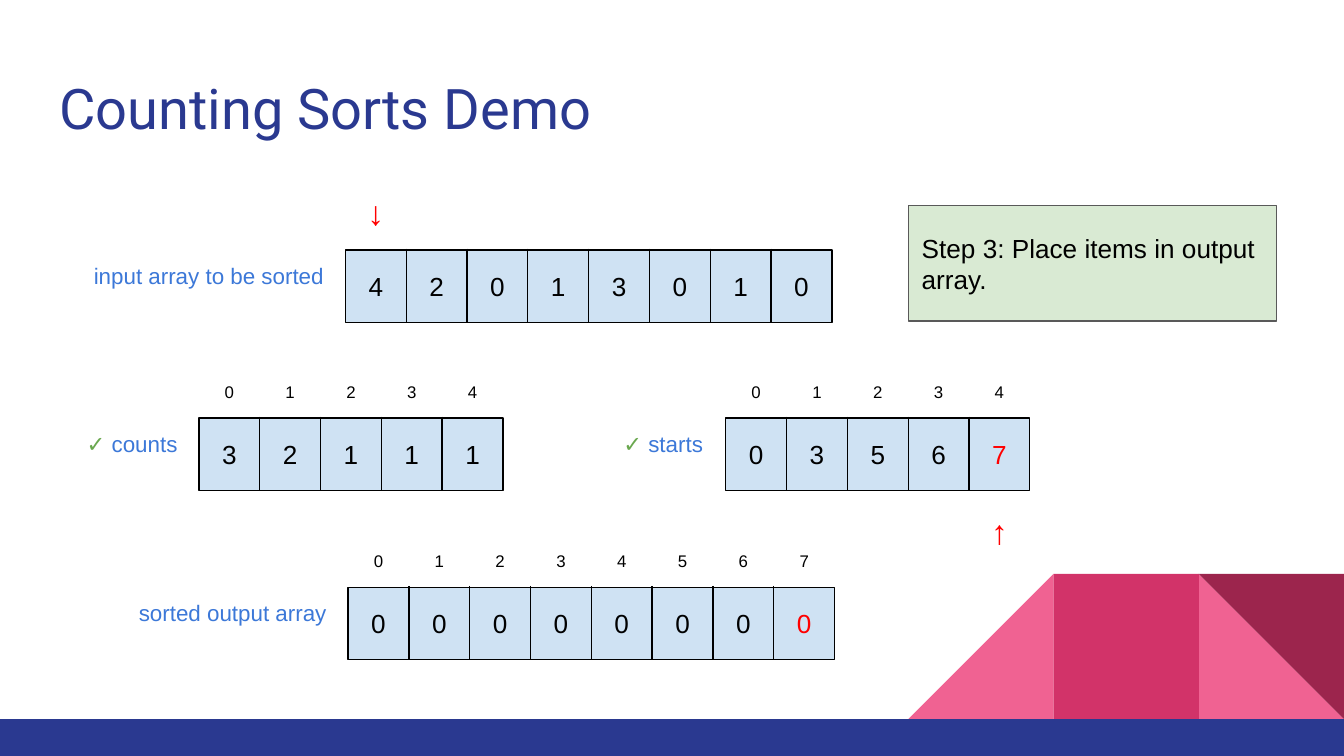
import lxml.etree
import pptx
import pptx.util
import pptx.dml.color
import pptx.enum.shapes
import pptx.enum.text
import pptx.oxml.ns

Inches = pptx.util.Inches
SHAPE = pptx.enum.shapes.MSO_SHAPE
ALIGN = pptx.enum.text.PP_ALIGN
ANCHOR = pptx.enum.text.MSO_ANCHOR

BAR = 1.81  # a bar spans four cells
PITCH = BAR / 4
CELL = 0.55
LABEL = 0.36
BLACK, RED, BLUE, GREEN = "000000", "FF0000", "3C78D8", "6AA84F"
NAVY, PINK, ROSE, WINE = "2A3990", "F06292", "D23369", "9C254D"


def color(code):
    return pptx.dml.color.RGBColor.from_string(code)


def write(shape, runs, size, align=ALIGN.LEFT, anchor=ANCHOR.TOP, font="Arial"):
    """Fill a shape with one paragraph of (text, colour) runs."""
    frame = shape.text_frame
    frame.word_wrap = True
    frame.auto_size = pptx.enum.text.MSO_AUTO_SIZE.NONE
    frame.vertical_anchor = anchor
    frame.margin_left = frame.margin_right = Inches(0.1)
    frame.margin_top = frame.margin_bottom = Inches(0.1)
    para = frame.paragraphs[0]
    para.alignment = align
    para.line_spacing = 1.0
    for text, code in runs:
        run = para.add_run()
        run.text = text
        run.font.name = font
        run.font.size = pptx.util.Pt(size)
        run.font.color.rgb = color(code)


def add_text(slide, box, runs, size, align=ALIGN.CENTER, anchor=ANCHOR.TOP):
    shape = slide.shapes.add_textbox(*map(Inches, box))
    write(shape, runs, size, align, anchor)


def stroke(line, code):
    line.color.rgb = color(code)
    line.width = pptx.util.Pt(0.75)


def add_block(slide, kind, box, fill, line=None):
    shape = slide.shapes.add_shape(kind, *map(Inches, box))
    shape.shadow.inherit = False
    shape.fill.solid()
    shape.fill.fore_color.rgb = color(fill)
    if line:
        stroke(shape.line, line)
    else:
        shape.line.fill.background()
    return shape


def add_rule(slide, x, top, height):
    """Upright divider between two cells."""
    rule = slide.shapes.add_connector(
        pptx.enum.shapes.MSO_CONNECTOR.STRAIGHT,
        *map(Inches, (x, top, x, top + height)))
    stroke(rule.line, BLACK)
    lxml.etree.SubElement(rule._element.spPr, pptx.oxml.ns.qn("a:effectLst"))


def add_decor(slide, left, top, side):
    """Footer bar with the folded ribbon standing on its right end."""
    right = (left + 2 * side, top, side, side)
    add_block(slide, SHAPE.RIGHT_TRIANGLE, right, PINK)
    fold = add_block(slide, SHAPE.RIGHT_TRIANGLE, (left, top, side, side), PINK)
    fold._element.spPr.get_or_add_xfrm().set("flipH", "1")
    add_block(slide, SHAPE.RECTANGLE, (left + side, top, side, side), ROSE)
    back = add_block(slide, SHAPE.RIGHT_TRIANGLE, right, WINE)
    back.rotation = 180
    add_block(slide, SHAPE.RECTANGLE, (0, top + side, 10, 0.28), NAVY)


def add_title(slide, box, text):
    title = slide.shapes.title
    title.left, title.top, title.width, title.height = map(Inches, box)
    write(title, [(text, NAVY)], 30, font="Roboto")


def add_array(slide, left, top, values, marked=None, index=True):
    """Row of cells with index numbers above."""
    count = len(values)
    # Two bars, flush with either end, cover the row
    for start in (0, count - 4):
        add_block(slide, SHAPE.RECTANGLE,
                  (left + start * PITCH, top + 0.01, BAR, CELL - 0.01),
                  "CFE2F3", BLACK)
    for i in range(1, count):
        add_rule(slide, left + i * PITCH, top, CELL)
    for i, value in enumerate(values):
        x = left + i * PITCH
        code = RED if i == marked else BLACK
        add_text(slide, (x, top, PITCH, CELL), [(value, code)], 14,
                 anchor=ANCHOR.MIDDLE)
        if index:
            add_text(slide, (x, top - LABEL, PITCH, LABEL), [(str(i), BLACK)], 9)


def add_name(slide, left, top, width, runs):
    add_text(slide, (left, top, width, CELL), runs, 12, ALIGN.RIGHT)


def add_step(slide, box, text):
    note = add_block(slide, SHAPE.RECTANGLE, box, "D9EAD3", "595959")
    write(note, [(text, BLACK)], 14, anchor=ANCHOR.MIDDLE)


def add_mark(slide, left, top, sign, anchor):
    add_text(slide, (left, top, PITCH, CELL), [(sign, RED)], 18, anchor=anchor)


def main():
    deck = pptx.Presentation()
    deck.slide_width = Inches(10)
    deck.slide_height = Inches(10 * 9 / 16)
    slide = deck.slides.add_slide(deck.slide_layouts[5])

    # Frame of the slide
    add_decor(slide, 6.76, 4.27, 1.08)
    add_title(slide, (0.34, 0.45, 9.32, 0.66), "Counting Sorts Demo")

    # Arrays
    add_array(slide, 2.57, 1.85, "42013010", index=False)
    add_array(slide, 1.48, 3.1, "32111")
    add_array(slide, 5.4, 3.1, "03567", marked=4)
    add_array(slide, 2.59, 4.36, "00000000", marked=7)

    # Array names
    add_name(slide, 0.34, 1.85, 2.17, [("input array to be sorted", BLUE)])
    add_name(slide, 0.62, 4.36, 1.91, [("sorted output array", BLUE)])
    for left, name in ((0.34, "counts"), (4.25, "starts")):
        add_name(slide, left, 3.1, 1.08, [("✓ ", GREEN), (name, BLUE)])

    # Current step and its pointers
    add_step(slide, (6.76, 1.53, 2.74, 0.86), "Step 3: Place items in output array.")
    add_mark(slide, 2.57, 1.3, "↓", ANCHOR.MIDDLE)
    add_mark(slide, 5.4 + 4 * PITCH, 3.65, "↑", ANCHOR.BOTTOM)

    deck.save("out.pptx")


if __name__ == "__main__":
    main()
